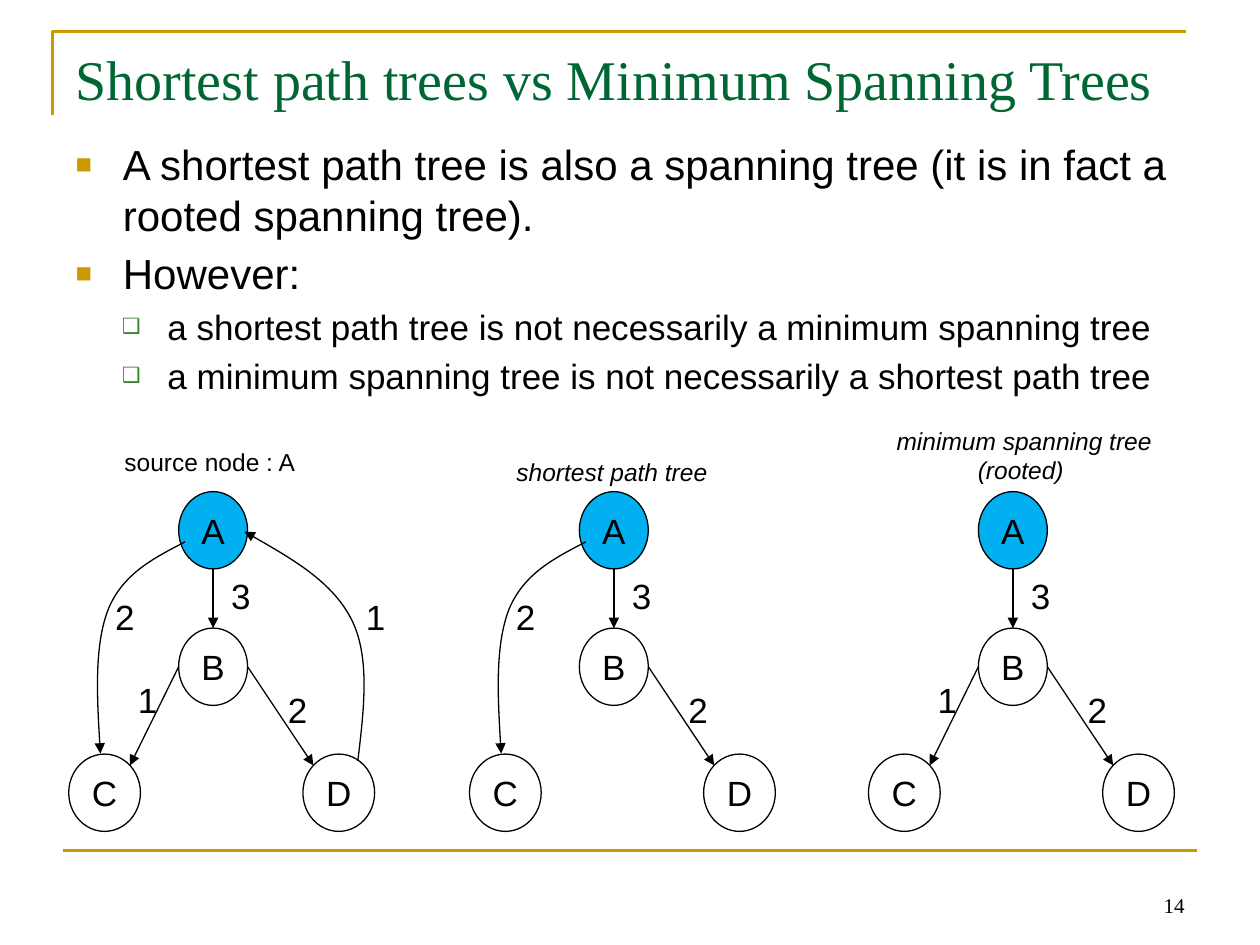
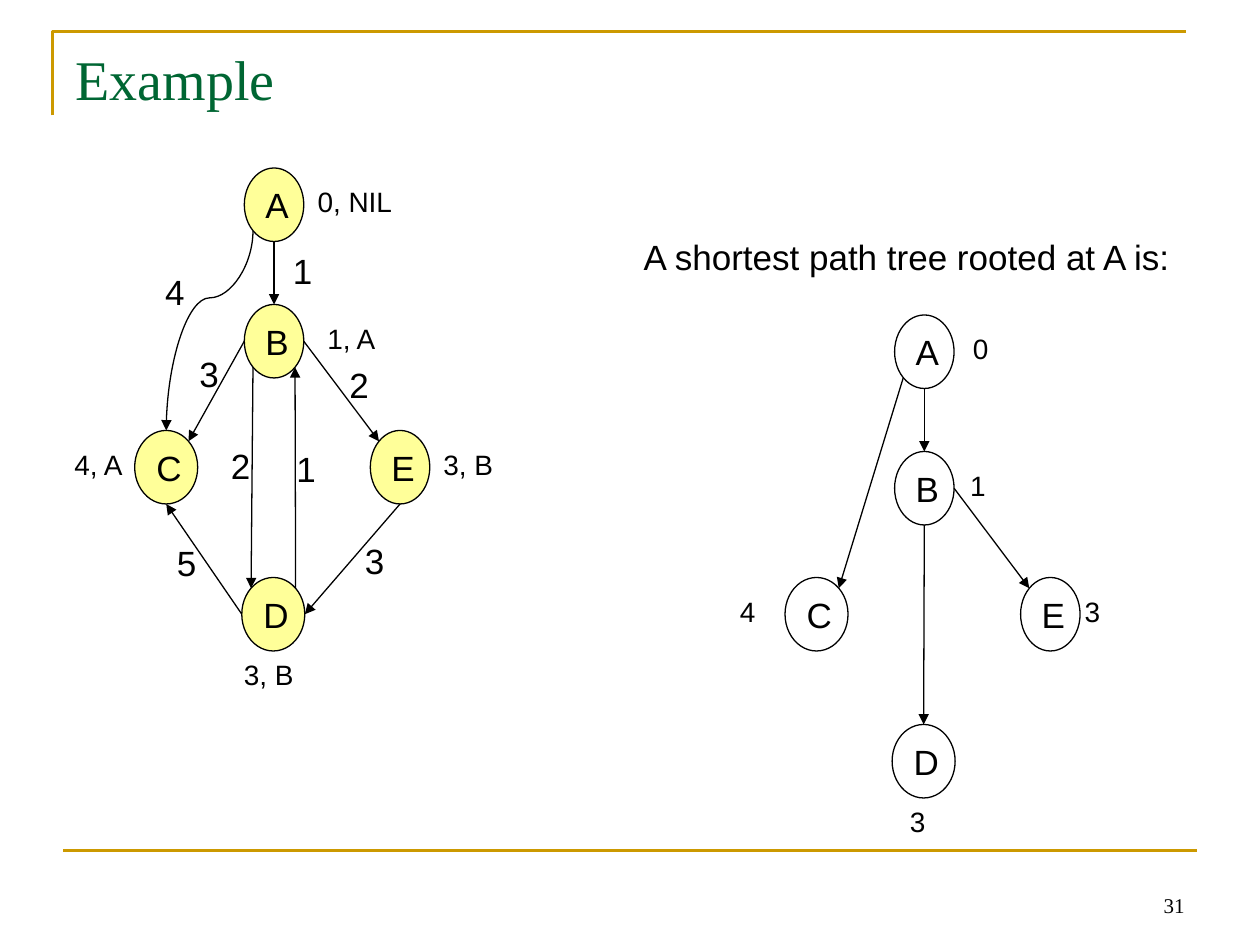
from lxml import etree
from pptx import Presentation
from pptx.dml.color import RGBColor
from pptx.enum import shapes, text
from pptx.oxml.ns import qn
from pptx.util import Pt

GOLD, GREEN, BLACK, BLUE, YELLOW = "CC9900", "006633", "000000", "00B0F0", "FFFF99"
SANS, SERIF = "Arial", "Times New Roman"
LEFT, CENTER, RIGHT = text.PP_ALIGN.LEFT, text.PP_ALIGN.CENTER, text.PP_ALIGN.RIGHT
TOP, MIDDLE, BOTTOM = text.MSO_ANCHOR.TOP, text.MSO_ANCHOR.MIDDLE, text.MSO_ANCHOR.BOTTOM
FIXED, GROW = text.MSO_AUTO_SIZE.NONE, text.MSO_AUTO_SIZE.SHAPE_TO_FIT_TEXT
hex_color = RGBColor.from_string


def write(box, words, size, font=SANS, color=BLACK, align=CENTER, anchor=TOP,
          wrap=False, italic=False):
    frame = box.text_frame
    frame.text = words
    frame.word_wrap = wrap
    frame.auto_size = FIXED if wrap else GROW
    frame.vertical_anchor = anchor
    for para in frame.paragraphs:
        para.alignment = align
        for span in para.runs:
            span.font.size = Pt(size)
            span.font.name = font
            span.font.italic = italic
            span.font.color.rgb = hex_color(color)


def outline(shape, color=BLACK, weight=0.75, arrow=False):
    """Set the line of a shape or connector and take away its shadow."""
    shape.line.color.rgb = hex_color(color)
    shape.line.width = Pt(weight)
    properties = shape.element.spPr
    if arrow:
        etree.SubElement(properties.find(qn("a:ln")), qn("a:tailEnd"), type="triangle")
    etree.SubElement(properties, qn("a:effectLst"))


deck = Presentation()
deck.slide_width, deck.slide_height = Pt(720), Pt(540)

# Shared frame, title and page number
pages = []
for layout, title, number in [
    (1, "Shortest path trees vs Minimum Spanning Trees", "14"),
    (5, "Example", "31"),
]:
    page = deck.slides.add_slide(deck.slide_layouts[layout])
    pages.append(page)
    builder = page.shapes.build_freeform(Pt(30), Pt(66))
    builder.add_line_segments([(Pt(30), Pt(18)), (Pt(678), Pt(18))], close=False)
    corner = builder.convert_to_shape()
    corner.fill.background()
    outline(corner, GOLD, 1.5)
    rule = page.shapes.add_connector(
        shapes.MSO_CONNECTOR.STRAIGHT, Pt(36), Pt(486), Pt(684), Pt(486))
    outline(rule, GOLD, 1.5)
    heading = page.shapes.title
    heading.left, heading.top, heading.width, heading.height = Pt(36), Pt(21.6), Pt(648), Pt(90)
    write(heading, title, 32, SERIF, GREEN, LEFT, wrap=True)
    box = page.shapes.add_textbox(Pt(516), Pt(492), Pt(168), Pt(36))
    write(box, number, 12, SERIF, align=RIGHT, anchor=BOTTOM, wrap=True)
trees_page, example_page = pages

# Bulleted list: size, left margin, hanging indent, bullet, its colour and percentage
levels = [(24, 27, 27, "■", GOLD, 65), (20, 52.5, 26, "❑", "3B812F", 60)]
points = [
    (0, "A shortest path tree is also a spanning tree (it is in fact a rooted spanning tree)."),
    (0, "However:"),
    (1, "a shortest path tree is not necessarily a minimum spanning tree"),
    (1, "a minimum spanning tree is not necessarily a shortest path tree"),
]
body = trees_page.placeholders[1]
body.left, body.top, body.width, body.height = Pt(36), Pt(75.6), Pt(648), Pt(356.4)
write(body, "\n".join(words for _, words in points), 24, align=LEFT, wrap=True)
for index, (para, (level, _)) in enumerate(zip(body.text_frame.paragraphs, points)):
    size, margin, hanging, mark, color, percent = levels[level]
    para.level = level
    props = para._p.get_or_add_pPr()
    props.set("marL", str(Pt(margin)))
    props.set("indent", str(-Pt(hanging)))
    etree.SubElement(etree.SubElement(props, qn("a:buClr")), qn("a:srgbClr"), val=color)
    etree.SubElement(props, qn("a:buSzPct"), val=str(percent * 1000))
    etree.SubElement(props, qn("a:buChar"), char=mark)
    para.space_before = Pt(size * 0.2 if index else 0)
    for span in para.runs:
        span.font.size = Pt(size)

# Node centres and widths; an edge such as "As Bn" runs from the south of A to the north of B
DIAGONAL = 0.707
sites = {
    "n": (0, -1), "e": (1, 0), "s": (0, 1), "w": (-1, 0),
    "nw": (-DIAGONAL, -DIAGONAL), "ne": (DIAGONAL, -DIAGONAL),
    "sw": (-DIAGONAL, DIAGONAL), "se": (DIAGONAL, DIAGONAL),
}
tree_nodes = {"A": (121.8, 303, 39.4), "B": (121.8, 381, 39.4),
              "C": (59.8, 453, 41), "D": (193.6, 453, 41)}
tree_weights = {"As Bn": ("3", 124.6, 324.8), "Aw Cn": ("2", 58.3, 337),
                "Bw Cne": ("1", 71.3, 384), "Be Dnw": ("2", 157, 390),
                "Dne Ae": ("1", 201.6, 337)}
example_nodes = {"A": (156.6, 117, 34), "B": (156.6, 195, 34), "C": (95, 267, 36),
                 "E": (228.6, 267, 34), "D": (156.2, 351, 36)}
example_weights = {"As Bn": ("1", 160, 139), "Asw Cn": ("4", 87, 151),
                   "Bw Cne": ("3", 106.5, 198), "Bsw Dnw": ("2", 124.5, 250.5),
                   "Dne Bse": ("1", 162, 252), "Be Enw": ("2", 192.2, 204),
                   "Es De": ("3", 201, 304.6), "Dw Cs": ("5", 93.6, 306)}
# Start point, then three points for each Bézier piece
bends = {
    "Aw Cn": [(105.8, 309.6), (87.8, 319), (70.6, 327.6), (62, 347.8),
              (54, 368), (55.4, 399.6), (57.4, 430.6)],
    "Dne Ae": [(204.5, 435), (208, 405.4), (211.7, 375.8), (201, 354.2),
               (190, 332.6), (165, 318.2), (139.7, 303.8)],
}
root_fill = {"A": BLUE}
graphs = [
    (trees_page, tree_nodes, 44.2, 0, 0, root_fill, tree_weights, list(tree_weights)),
    (trees_page, tree_nodes, 44.2, 229, 0, root_fill, tree_weights, ["As Bn", "Aw Cn", "Be Dnw"]),
    (trees_page, tree_nodes, 44.2, 457, 0, root_fill, tree_weights, ["As Bn", "Bw Cne", "Be Dnw"]),
    (example_page, example_nodes, 42, 0, 0, dict.fromkeys("ABCDE", YELLOW),
     example_weights, list(example_weights)),
    (example_page, example_nodes, 42, 371.6, 84, {}, {},
     ["As Bn", "Asw Cne", "Be Enw", "Bs Dn"]),
]

for page, nodes, height, dx, dy, fills, weights, edges in graphs:
    for name, (x, y, width) in nodes.items():
        node = page.shapes.add_shape(
            shapes.MSO_SHAPE.OVAL, Pt(x + dx - width / 2), Pt(y + dy - height / 2),
            Pt(width), Pt(height))
        if name in fills:
            node.fill.solid()
            node.fill.fore_color.rgb = hex_color(fills[name])
        else:
            node.fill.background()
        outline(node)
        write(node, name, 20, anchor=MIDDLE)

    for edge in edges:
        if edge in bends:
            start, *rest = [(Pt(x + dx), Pt(y + dy)) for x, y in bends[edge]]
            builder = page.shapes.build_freeform(*start)
            builder.add_line_segments(rest, close=False)
            arrow = builder.convert_to_shape()
            arrow.fill.background()
            outline_path = arrow.element.find(".//" + qn("a:path"))
            segments = outline_path.findall(qn("a:lnTo"))
            for first in range(0, len(segments), 3):
                piece = etree.SubElement(outline_path, qn("a:cubicBezTo"))
                for segment in segments[first:first + 3]:
                    piece.append(segment[0])
                    outline_path.remove(segment)
        else:
            (x1, y1), (x2, y2) = [
                (nodes[end[0]][0] + dx + sites[end[1:]][0] * nodes[end[0]][2] / 2,
                 nodes[end[0]][1] + dy + sites[end[1:]][1] * height / 2)
                for end in edge.split()]
            kind = shapes.MSO_CONNECTOR.STRAIGHT
            curved = edge == "Asw Cn"
            if curved:  # lies on its side, then turns by 90 degrees about its middle
                kind = shapes.MSO_CONNECTOR.CURVE
                middle_x, middle_y = (x1 + x2) / 2, (y1 + y2) / 2
                half_long, half_short = (y2 - y1) / 2, (x1 - x2) / 2
                x1, x2 = middle_x - half_long, middle_x + half_long
                y1, y2 = middle_y - half_short, middle_y + half_short
            arrow = page.shapes.add_connector(kind, Pt(x1), Pt(y1), Pt(x2), Pt(y2))
            if curved:
                arrow.element.spPr.find(qn("a:xfrm")).set("rot", "5400000")
                etree.SubElement(arrow.element.find(".//" + qn("a:avLst")), qn("a:gd"),
                                 name="adj1", fmla="val 33600")
        outline(arrow, arrow=True)
        if edge in weights:
            weight, x, y = weights[edge]
            box = page.shapes.add_textbox(Pt(x + dx), Pt(y + dy), Pt(26), Pt(31.2))
            write(box, weight, 20)

# Captions and distance labels: page, words, left, top, width, size, alignment, italic
labels = [
    (trees_page, "source node : A", 64, 252, 112, 14, LEFT, False),
    (trees_page, "shortest path tree", 288, 257.6, 128, 14, LEFT, True),
    (trees_page, "minimum spanning tree\n(rooted) ", 504.8, 239.6, 161, 14, CENTER, True),
    (example_page, "A shortest path tree rooted at A is:", 360.7, 131, 317.5, 20, LEFT, False),
]
for words, left, top, width in [
    ("0, NIL", 174, 102, 57.6), ("1, A", 179.5, 180, 42.5), ("3, B", 246, 252, 43.2),
    ("4, A", 35, 252, 42.5), ("3, B", 132, 372, 43.2),
    ("0", 548.6, 186, 23.5), ("1", 547, 264, 23.5), ("3", 612.5, 336, 23.5),
    ("4", 415.5, 336, 23.5), ("3", 512.6, 456, 23.5),
]:
    labels.append((example_page, words, left, top, width, 16, CENTER, False))
for page, words, left, top, width, size, align, italic in labels:
    lines = words.count("\n") + 1
    box = page.shapes.add_textbox(Pt(left), Pt(top), Pt(width), Pt(size * 1.2 * lines + 7.2))
    write(box, words, size, align=align, italic=italic)

deck.save("out.pptx")
